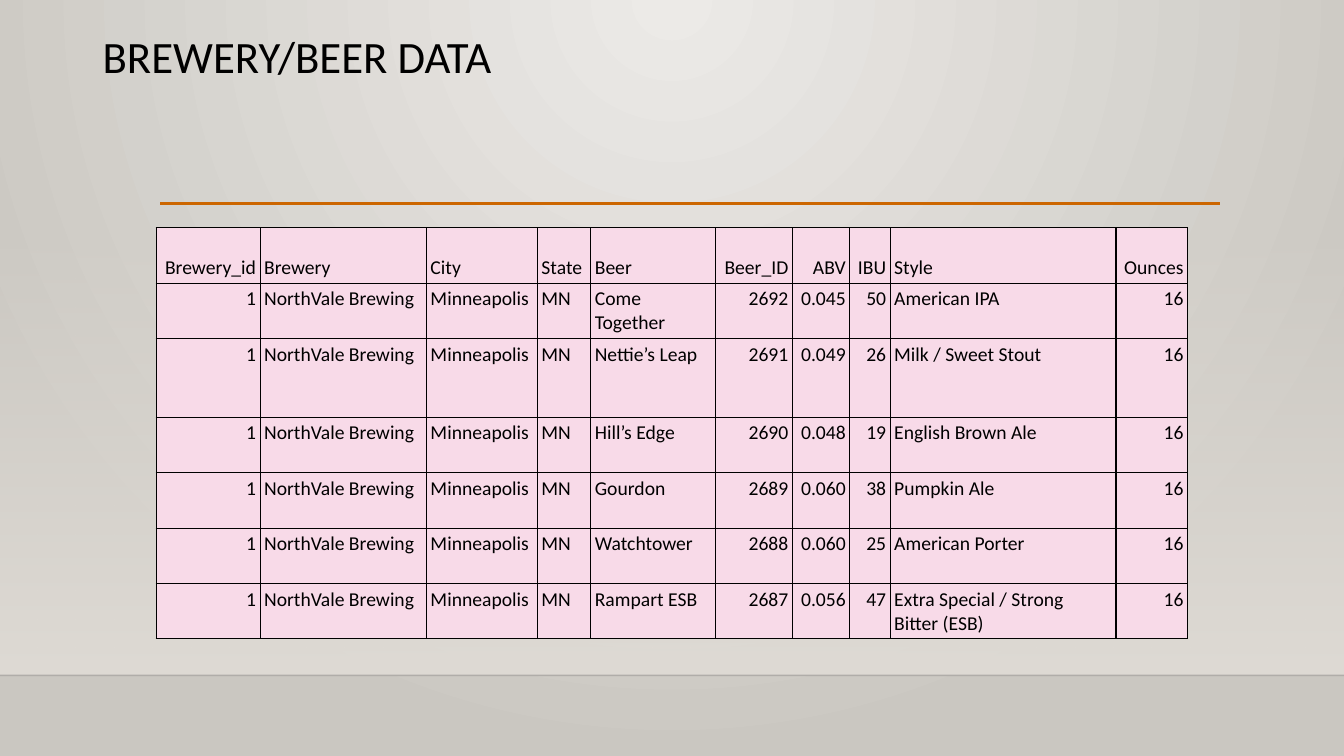
from pptx import Presentation
from pptx.dml.color import RGBColor
from pptx.enum.shapes import MSO_CONNECTOR, MSO_SHAPE
from pptx.enum.text import MSO_ANCHOR, PP_ALIGN
from pptx.oxml import parse_xml
from pptx.oxml.ns import nsdecls, qn
from pptx.util import Inches, Pt
from lxml import etree

RECT = MSO_SHAPE.RECTANGLE
LINE = MSO_CONNECTOR.STRAIGHT
TOP, BOTTOM = MSO_ANCHOR.TOP, MSO_ANCHOR.BOTTOM
LEFT, RIGHT = PP_ALIGN.LEFT, PP_ALIGN.RIGHT
FONT = "Calibri"


def color(code):
    return RGBColor.from_string(code)


def grad(stops, shade):
    marks = "".join(
        f'<a:gs pos="{pos * 1000}"><a:srgbClr val="{code}">'
        f'<a:alpha val="{alpha * 1000}"/></a:srgbClr></a:gs>'
        for pos, code, alpha in stops)
    return parse_xml(f'<a:gradFill {nsdecls("a")} rotWithShape="1">'
                     f'<a:gsLst>{marks}</a:gsLst>{shade}</a:gradFill>')


prs = Presentation()
prs.slide_width = Inches(13.33)
prs.slide_height = Inches(7.5)
slide = prs.slides.add_slide(prs.slide_layouts[6])

slide.background.fill.solid()
back = slide.element.find(".//" + qn("p:bgPr"))
glow = grad([(0, "ECEAE7", 100), (100, "CAC7C1", 100)],
            '<a:path path="circle"><a:fillToRect l="43000" t="0" '
            'r="43000" b="100000"/></a:path>')
back.replace(back[0], glow)

wall = slide.shapes.add_shape(RECT, 0, Inches(2.21), Inches(13.33), Inches(4.49))
wall.shadow.inherit = False
wall.line.fill.background()
wall.fill.solid()
props = wall.element.spPr
fade = grad([(0, "DFDBD5", 0), (100, "DFDBD5", 100)],
            '<a:lin ang="5400000" scaled="0"/>')
props.replace(props.find(qn("a:solidFill")), fade)

for left, right, y, code, width, alpha in [
        (0, 13.33, 6.7, "000001", 1, 20),
        (1.59, 12.1, 2.02, "CC6600", 2.5, 100)]:
    rule = slide.shapes.add_connector(
        LINE, Inches(left), Inches(y), Inches(right), Inches(y))
    rule.line.color.rgb = color(code)
    rule.line.width = Pt(width)
    tint = rule.element.spPr.find(".//" + qn("a:srgbClr"))
    etree.SubElement(tint, qn("a:alpha")).set("val", str(alpha * 1000))
    etree.SubElement(rule.element.spPr, qn("a:effectLst"))

title = slide.shapes.add_textbox(Inches(0.92), Inches(0.3), Inches(11.5), Inches(1.45))
title.text_frame.word_wrap = True
title.text_frame.vertical_anchor = TOP
para = title.text_frame.paragraphs[0]
para.line_spacing = 0.9
run = para.add_run()
run.text = "BREWERY/BEER DATA"
run.font.name = FONT
run.font.size = Pt(32)
run.font.color.rgb = color("000000")

heads = ["Brewery_id", "Brewery", "City", "State", "Beer",
         "Beer_ID", "ABV", "IBU", "Style", "Ounces"]
beers = [
    ("Come Together", "2692", "0.045", "50", "American IPA"),
    ("Nettie’s Leap", "2691", "0.049", "26", "Milk / Sweet Stout"),
    ("Hill’s Edge", "2690", "0.048", "19", "English Brown Ale"),
    ("Gourdon", "2689", "0.060", "38", "Pumpkin Ale"),
    ("Watchtower", "2688", "0.060", "25", "American Porter"),
    ("Rampart ESB", "2687", "0.056", "47", "Extra Special / Strong Bitter (ESB)"),
]
rows = [heads] + [["1", "NorthVale Brewing", "Minneapolis", "MN", *beer, "16"]
                  for beer in beers]
widths = [1.03, 1.65, 1.1, 0.53, 1.24, 0.76, 0.57, 0.4, 2.24, 0.71]
heights = [0.55, 0.55, 0.78, 0.55, 0.55, 0.55, 0.5]
numeric = {"Brewery_id", "Beer_ID", "ABV", "IBU", "Ounces"}

table = slide.shapes.add_table(len(rows), len(heads), Inches(1.55), Inches(2.26),
                               Inches(10.24), Inches(4.06)).table
table.first_row = False
table.horz_banding = False
for col, width in zip(table.columns, widths):
    col.width = Inches(width)
for row, height in zip(table.rows, heights):
    row.height = Inches(height)

for r, row in enumerate(rows):
    for c, text in enumerate(row):
        cell = table.cell(r, c)
        cell.fill.solid()
        cell.fill.fore_color.rgb = color("F8DAE8")
        cell.vertical_anchor = TOP if r else BOTTOM
        cell.margin_left = cell.margin_right = Inches(0.04)
        cell.margin_top = cell.margin_bottom = Inches(0.04)
        para = cell.text_frame.paragraphs[0]
        para.alignment = RIGHT if heads[c] in numeric else LEFT
        run = para.add_run()
        run.text = text
        run.font.name = FONT
        run.font.size = Pt(14)
        run.font.color.rgb = color("000000")
        box = cell._tc.get_or_add_tcPr()
        for i, side in enumerate(["lnL", "lnR", "lnT", "lnB"]):
            box.insert(i, parse_xml(
                f'<a:{side} {nsdecls("a")} w="12700"><a:solidFill>'
                f'<a:srgbClr val="000000"/></a:solidFill></a:{side}>'))

prs.save("out.pptx")
